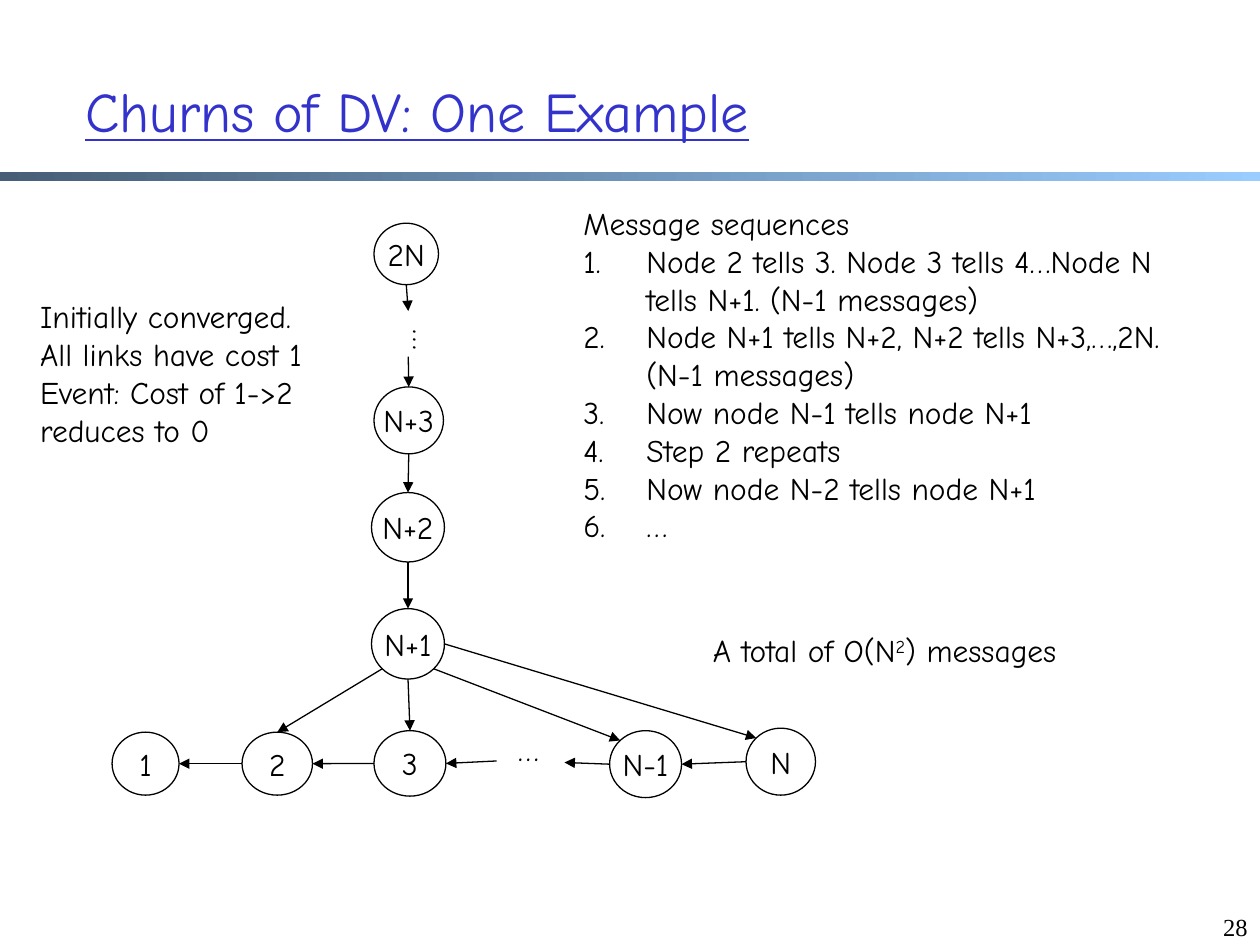
from dataclasses import dataclass
from math import cos, radians, sin

from lxml import etree
from pptx import Presentation
from pptx.dml.color import RGBColor
from pptx.enum.shapes import MSO_CONNECTOR, MSO_SHAPE
from pptx.enum.text import MSO_ANCHOR, PP_ALIGN
from pptx.oxml.ns import qn
from pptx.util import Cm, Pt

ELLIPSE, RECTANGLE = MSO_SHAPE.OVAL, MSO_SHAPE.RECTANGLE
STRAIGHT = MSO_CONNECTOR.STRAIGHT
MIDDLE = MSO_ANCHOR.MIDDLE
LEFT, CENTER, RIGHT = PP_ALIGN.LEFT, PP_ALIGN.CENTER, PP_ALIGN.RIGHT


@dataclass(frozen=True)
class Theme:
    ink: RGBColor = RGBColor(0x00, 0x00, 0x00)
    title: RGBColor = RGBColor(0x33, 0x33, 0xCC)
    bar_start: RGBColor = RGBColor(0x47, 0x5E, 0x76)
    bar_end: RGBColor = RGBColor(0x99, 0xCC, 0xFF)
    font: str = "Comic Neue"
    number_font: str = "Times New Roman"
    title_size: int = 32
    body_size: int = 18
    number_size: int = 14
    line_width: float = 0.75


THEME = Theme()

# Nodes: left, top, width, height in cm from the corner of the graph
NODES = {
    "2N": (5.28, 0, 1.3, 1.24),
    "N+3": (5.28, 3.3, 1.4, 1.35),
    "N+2": (5.23, 5.43, 1.47, 1.4),
    "N+1": (5.23, 7.77, 1.47, 1.42),
    "1": (0, 10.26, 1.35, 1.27),
    "2": (2.62, 10.26, 1.42, 1.27),
    "3": (5.28, 10.23, 1.45, 1.32),
    "N-1": (10.03, 10.23, 1.45, 1.35),
    "N": (12.78, 10.18, 1.4, 1.35),
}
# Directions on a node's rim, in degrees clockwise from the right
EAST, SOUTH_EAST, SOUTH, SOUTH_WEST, WEST, NORTH_WEST, NORTH = 0, 45, 90, 135, 180, 225, 270
# Ends of each arrow: a node with a direction, or a point beside the dots
ARROWS = [
    (("2N", SOUTH), (5.97, 1.77)),
    ((5.97, 2.69), ("N+3", NORTH)),
    (("N+3", SOUTH), ("N+2", NORTH)),
    (("N+2", SOUTH), ("N+1", NORTH)),
    (("N+1", SOUTH_WEST), ("2", NORTH)),
    (("N+1", SOUTH), ("3", NORTH)),
    (("N+1", SOUTH_EAST), ("N-1", NORTH_WEST)),
    (("N+1", EAST), ("N", NORTH_WEST)),
    (("N", WEST), ("N-1", EAST)),
    (("N-1", WEST), (9.12, 10.87)),
    ((7.75, 10.84), ("3", EAST)),
    (("3", WEST), ("2", EAST)),
    (("2", WEST), ("1", EAST)),
]
EVENT = ["Initially converged.", "All links have cost 1", "Event: Cost of 1->2 reduces to 0"]
SEQUENCES = [
    "Node 2 tells 3. Node 3 tells 4…Node N tells N+1. (N-1 messages)",
    "Node N+1 tells N+2, N+2 tells N+3,…,2N. (N-1 messages)",
    "Now node N-1 tells node N+1",
    "Step 2 repeats",
    "Now node N-2 tells node N+1",
    "…",
]


def set_font(para, size=THEME.body_size, name=THEME.font, color=THEME.ink):
    para.font.size = Pt(size)
    para.font.name = name
    para.font.color.rgb = color


def add_text(page, box, lines, wrap=True, align=LEFT, **font):
    shape = page.shapes.add_textbox(*map(Cm, box))
    frame = shape.text_frame
    frame.word_wrap = wrap
    frame.text = "\n".join(lines)
    for para in frame.paragraphs:
        para.alignment = align
        set_font(para, **font)
    return frame


def add_header(page, box):
    left, top, width, height = box
    # Gradient bar across the slide
    bar = page.shapes.add_shape(RECTANGLE, Cm(0), Cm(top + 2.82), Cm(25.4), Cm(0.2))
    bar.shadow.inherit = False
    bar.line.fill.background()
    bar.fill.gradient()
    bar.fill.gradient_angle = 0
    for stop, color in zip(bar.fill.gradient_stops, (THEME.bar_start, THEME.bar_end)):
        stop.color.rgb = color
    # Title
    frame = add_text(page, (left, top, width, height), ["Churns of DV: One Example"],
                     size=THEME.title_size, color=THEME.title)
    frame.vertical_anchor = MIDDLE
    frame.paragraphs[0].font.underline = True


def add_node(page, box, label):
    node = page.shapes.add_shape(ELLIPSE, *map(Cm, box))
    node.shadow.inherit = False
    node.fill.background()
    node.line.color.rgb = THEME.ink
    node.line.width = Pt(THEME.line_width)
    frame = node.text_frame
    frame.word_wrap = False
    frame.vertical_anchor = MIDDLE
    frame.text = label
    frame.paragraphs[0].alignment = CENTER
    set_font(frame.paragraphs[0])


def add_arrow(page, start, end):
    arrow = page.shapes.add_connector(STRAIGHT, *map(Cm, start + end))
    arrow.line.color.rgb = THEME.ink
    arrow.line.width = Pt(THEME.line_width)
    etree.SubElement(arrow.line._get_or_add_ln(), qn("a:tailEnd"), type="triangle")
    etree.SubElement(arrow._element.spPr, qn("a:effectLst"))


def find_end(end):
    """Give the point where an arrow starts or stops."""
    if end[0] not in NODES:
        return end
    name, angle = end
    left, top, width, height = NODES[name]
    turn = radians(angle)
    return left + width / 2 * (1 + cos(turn)), top + height / 2 * (1 + sin(turn))


def add_graph(page, left, top):
    def place(point):
        return left + point[0], top + point[1]

    for label, (x, y, width, height) in NODES.items():
        add_node(page, (*place((x, y)), width, height), label)
    for start, end in ARROWS:
        add_arrow(page, place(find_end(start)), place(find_end(end)))
    # Dots for the nodes left out
    add_text(page, (*place((7.93, 10.1)), 0.94, 1.02), ["…"], wrap=False)
    column_dots = add_text(page, (*place((5.56, 1.9)), 1.27, 0.69), ["…"], wrap=False)
    column_dots._txBody.bodyPr.set("vert", "eaVert")


def add_sequences(page, box):
    frame = add_text(page, box, ["Message sequences"])
    for step in SEQUENCES:
        para = frame.add_paragraph()
        para.text = step
        properties = para._p.get_or_add_pPr()
        properties.set("marL", str(Cm(1.27)))
        properties.set("indent", str(-Cm(1.27)))
        etree.SubElement(properties, qn("a:buFont"), typeface="+mj-lt")
        etree.SubElement(properties, qn("a:buAutoNum"), type="arabicPeriod")
        set_font(para)


def add_total(page, box):
    para = add_text(page, box, ["A total of O(N"], wrap=False).paragraphs[0]
    power = para.add_run()
    power.text = "2"
    power.font._element.set("baseline", "30000")
    para.add_run().text = ") messages"


def main():
    deck = Presentation()
    deck.slide_width, deck.slide_height = Cm(25.4), Cm(19.05)
    page = deck.slides.add_slide(deck.slide_layouts[6])
    add_header(page, (1.47, 0.64, 22.28, 3.18))
    add_graph(page, 2.26, 4.5)
    add_text(page, (0.56, 5.87, 7.47, 3.33), EVENT)
    add_sequences(page, (11.51, 3.99, 12.17, 7.95))
    add_total(page, (14.12, 12.6, 8.53, 1.02))
    # Page number
    add_text(page, (23.5, 18.26, 1.9, 0.79), ["28"], align=RIGHT,
             size=THEME.number_size, name=THEME.number_font)
    deck.save("out.pptx")


if __name__ == "__main__":
    main()
